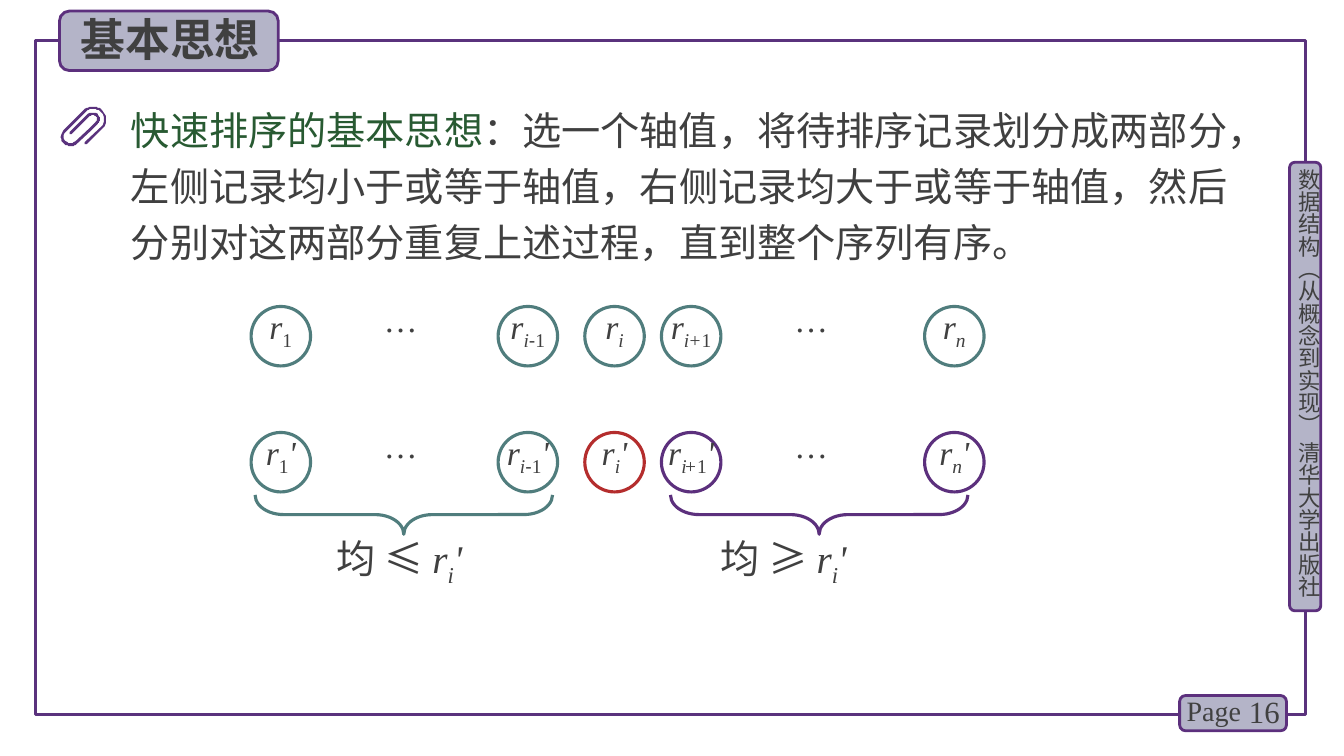
from pptx import Presentation
from pptx.dml.color import RGBColor
from pptx.enum.shapes import MSO_SHAPE
from pptx.enum.text import MSO_ANCHOR, PP_ALIGN
from pptx.oxml.ns import qn
from pptx.util import Inches, Pt
from lxml import etree

RECTANGLE, ROUNDED = MSO_SHAPE.RECTANGLE, MSO_SHAPE.ROUNDED_RECTANGLE
OVAL, LEFT_BRACE = MSO_SHAPE.OVAL, MSO_SHAPE.LEFT_BRACE
TOP, MIDDLE = MSO_ANCHOR.TOP, MSO_ANCHOR.MIDDLE
LEFT, CENTER, RIGHT = PP_ALIGN.LEFT, PP_ALIGN.CENTER, PP_ALIGN.RIGHT

PURPLE = RGBColor(0x5A, 0x32, 0x7D)
VIOLET = RGBColor(0x5C, 0x30, 0x7D)
LAVENDER = RGBColor(0xB4, 0xB4, 0xC8)
TEAL = RGBColor(0x50, 0x7D, 0x7D)
RED = RGBColor(0xB4, 0x2D, 0x2D)
GREEN = RGBColor(0x28, 0x5A, 0x32)
GRAY = RGBColor(0x40, 0x40, 0x40)

CHINESE, LATIN = "Noto Sans CJK SC", "Times New Roman"
MARGINS = (0.1, 0.05, 0.1, 0.05)
NO_MARGINS = (0, 0, 0, 0)

# Runs of the record labels: text, format values, lowered or not
RECORD = ("r", {"italic": True}, False)
PRIME = ("'", {"italic": True}, False)
INDEX_I = ("i", {"italic": True}, True)
INDEX_N = ("n", {"italic": True}, True)
INDEX_ONE = ("1", {}, True)
MINUS = ("-", {"name": "Arial"}, True)
I_PLUS = ("i+", {"italic": True}, True)

CIRCLE = 0.59
# Column left, index runs, letter spacing before and after partitioning,
# side margin, colour after partitioning
COLUMNS = [
    (2.49, [INDEX_ONE], 0, -1, 0.1, TEAL),
    (4.94, [INDEX_I, MINUS, INDEX_ONE], -0.7, -2, 0, TEAL),
    (5.8, [INDEX_I], 0, 0, 0.1, RED),
    (6.56, [I_PLUS, INDEX_ONE], -0.7, -2, 0.1, VIOLET),
    (9.17, [INDEX_N], 0, -1, 0.1, VIOLET),
]
DOT_COLUMNS = [3.47, 7.54]

# Paper clip outline in hundredths of an inch: one point is a line, three a curve
CLIP_START = (42, 3)
CLIP_SEGMENTS = [
    [(40, 1), (37, 0), (33, 0)], [(30, 0), (26, 1), (24, 3)], [(4, 23)],
    [(1, 26), (0, 33), (4, 36)], [(6, 38), (9, 39), (11, 39)],
    [(14, 39), (16, 38), (18, 36)], [(33, 22)], [(38, 17)],
    [(39, 16), (40, 14), (40, 12)], [(40, 10), (39, 9), (38, 7)],
    [(35, 5), (31, 5), (28, 7)], [(10, 25)], [(10, 27)], [(12, 27)], [(30, 9)],
    [(32, 8), (34, 8), (36, 9)], [(37, 10), (37, 11), (37, 12)],
    [(37, 13), (37, 14), (36, 15)], [(31, 20)], [(16, 34)],
    [(13, 37), (9, 37), (6, 34)], [(3, 32), (3, 27), (6, 25)], [(26, 5)],
    [(28, 3), (30, 2), (33, 2)], [(36, 2), (39, 3), (41, 5)],
    [(45, 9), (45, 16), (41, 20)], [(25, 35)], [(25, 37)], [(27, 37)],
    [(42, 22)], [(48, 17), (48, 8), (42, 3)],
]


def add_outline(slide, kind, box, line_color, width, fill=None):
    shape = slide.shapes.add_shape(kind, *map(Inches, box))
    shape.shadow.inherit = False
    if fill is None:
        shape.fill.background()
    else:
        shape.fill.solid()
        shape.fill.fore_color.rgb = fill
    shape.line.color.rgb = line_color
    shape.line.width = Pt(width)
    return shape


def write_text(shape, runs, size, font=LATIN, align=LEFT, anchor=TOP,
               margins=MARGINS, wrap=True, line_spacing=None, spacing=0):
    frame = shape.text_frame
    frame.word_wrap = wrap
    frame.vertical_anchor = anchor
    sides = ("margin_left", "margin_top", "margin_right", "margin_bottom")
    for side, margin in zip(sides, margins):
        setattr(frame, side, Inches(margin))
    paragraph = frame.paragraphs[0]
    paragraph.alignment = align
    if line_spacing:
        paragraph.line_spacing = Pt(line_spacing)
    for text, changes, lowered in runs:
        run = paragraph.add_run()
        run.text = text
        values = {"name": font, "size": Pt(size), "color": GRAY, **changes}
        run.font.color.rgb = values.pop("color")
        for name, value in values.items():
            setattr(run.font, name, value)
        properties = run.font._element
        latin = properties.find(qn("a:latin"))
        east_asian = etree.Element(qn("a:ea"), typeface=CHINESE)
        latin.addnext(east_asian)
        if lowered:
            properties.set("baseline", "-25000")
        if spacing:
            properties.set("spc", str(round(spacing * 100)))


def add_text(slide, box, runs, size, **options):
    text_box = slide.shapes.add_textbox(*map(Inches, box))
    write_text(text_box, runs, size, **options)
    return text_box


def add_frame(slide, box):
    left, top, width, height = box
    right, bottom = left + width, top + height
    add_outline(slide, RECTANGLE, box, PURPLE, 2.25)
    # Book title on the right edge
    add_outline(slide, ROUNDED, (right - 0.16, top + 1.21, 0.31, 4.45), VIOLET, 2, LAVENDER)
    title = [("数据结构（从概念到实现） 清华大学出版社", {}, False)]
    book = add_text(slide, (right - 0.1, top + 1.27, 0.27, 4.49), title, 16,
                    font=CHINESE, margins=NO_MARGINS)
    book.text_frame._txBody.bodyPr.set("vert", "eaVert")
    # Page number on the bottom edge
    add_outline(slide, ROUNDED, (right - 1.25, bottom - 0.19, 1.06, 0.35), VIOLET, 2, LAVENDER)
    add_text(slide, (right - 0.75, bottom - 0.23, 0.59, 0.4), [("16", {}, False)], 22,
             align=RIGHT, anchor=MIDDLE)
    add_text(slide, (right - 1.28, bottom - 0.26, 0.78, 0.44), [("Page", {}, False)], 20)


def add_heading(slide, box):
    left, top, width, height = box
    add_outline(slide, ROUNDED, box, VIOLET, 2, LAVENDER)
    add_text(slide, (left + 0.11, top - 0.04, width - 0.05, height + 0.05),
             [("基本思想", {"bold": True}, False)], 32, font=CHINESE)


def add_paper_clip(slide, left, top):
    points, start = [], CLIP_START
    for segment in CLIP_SEGMENTS:
        if len(segment) == 1:
            points += segment
        else:
            for step in range(1, 7):
                t = step / 6
                weights = ((1 - t) ** 3, 3 * t * (1 - t) ** 2, 3 * t * t * (1 - t), t ** 3)
                curve = [start, *segment]
                points.append(tuple(sum(w * p[axis] for w, p in zip(weights, curve))
                                    for axis in (0, 1)))
        start = segment[-1]
    builder = slide.shapes.build_freeform(*CLIP_START, scale=Inches(0.01))
    builder.add_line_segments(points, close=True)
    clip = builder.convert_to_shape(Inches(left), Inches(top))
    clip.shadow.inherit = False
    clip.fill.solid()
    clip.fill.fore_color.rgb = PURPLE
    clip.line.fill.background()


def add_idea(slide, box):
    left, top, width, height = box
    add_paper_clip(slide, left - 0.61, top + 0.14)
    add_text(slide, box, [
        ("快速排序的基本思想", {"color": GREEN}, False),
        ("：选一个轴值，将待排序记录划分成两部分，左侧记录均小于或等于轴值，"
         "右侧记录均大于或等于轴值，然后分别对这两部分重复上述过程，"
         "直到整个序列有序。", {}, False),
    ], 28, font=CHINESE, line_spacing=40)


def add_record_row(slide, top, partitioned):
    for left, index, before, after, margin, color in COLUMNS:
        circle = add_outline(slide, OVAL, (left, top, CIRCLE, CIRCLE),
                             color if partitioned else TEAL, 2.25)
        write_text(circle, [RECORD, *index] + [PRIME] * partitioned, 24, align=CENTER,
                   anchor=MIDDLE, margins=(margin, 0, margin, 0), wrap=False,
                   line_spacing=22, spacing=after if partitioned else before)
    for left in DOT_COLUMNS:
        add_text(slide, (left, top - 0.03, 1.01, 0.41), [("…", {}, False)], 24,
                 align=CENTER, line_spacing=22)


def add_brace(slide, box, relation, label_left, color):
    left, top, width, height = box
    # The brace is drawn upright about the centre of its box, then turned
    upright = (left + (width - height) / 2, top + (height - width) / 2, height, width)
    brace = add_outline(slide, LEFT_BRACE, upright, color, 2.25)
    brace.rotation = 270
    brace.adjustments[0] = 0.73
    add_text(slide, (label_left, top + 0.34, 2.17, 0.57),
             [(f"均 {relation} ", {}, False), RECORD, INDEX_I, PRIME], 28)


def main():
    presentation = Presentation()
    presentation.slide_width, presentation.slide_height = Inches(13.33), Inches(7.5)
    slide = presentation.slides.add_slide(presentation.slide_layouts[6])
    add_frame(slide, (0.35, 0.4, 12.6, 6.69))
    add_heading(slide, (0.59, 0.11, 2.17, 0.59))
    add_idea(slide, (1.2, 0.92, 11.43, 1.78))
    add_record_row(slide, 3.04, False)
    add_record_row(slide, 4.29, True)
    add_brace(slide, (2.53, 4.91, 2.95, 0.39), "≤", 3.24, TEAL)
    add_brace(slide, (6.65, 4.91, 2.95, 0.39), "≥", 7.05, VIOLET)
    presentation.save("out.pptx")


if __name__ == "__main__":
    main()
